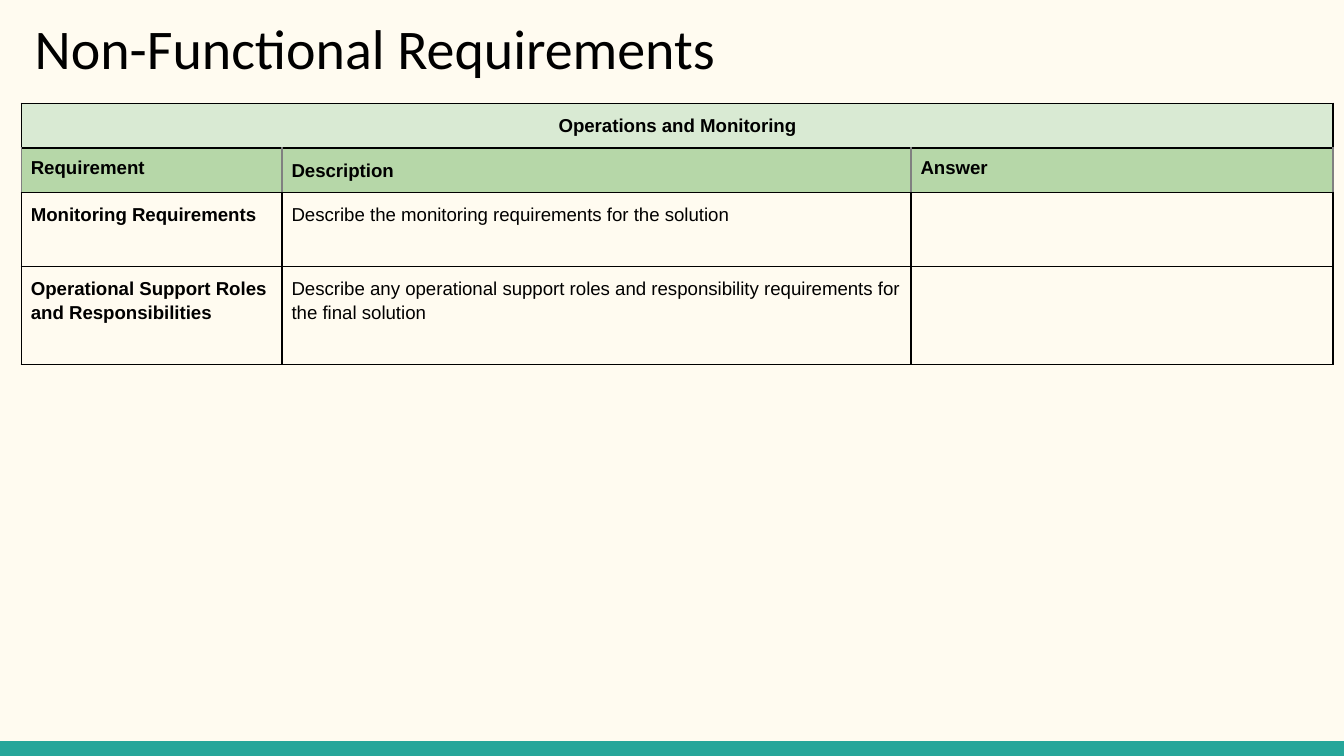
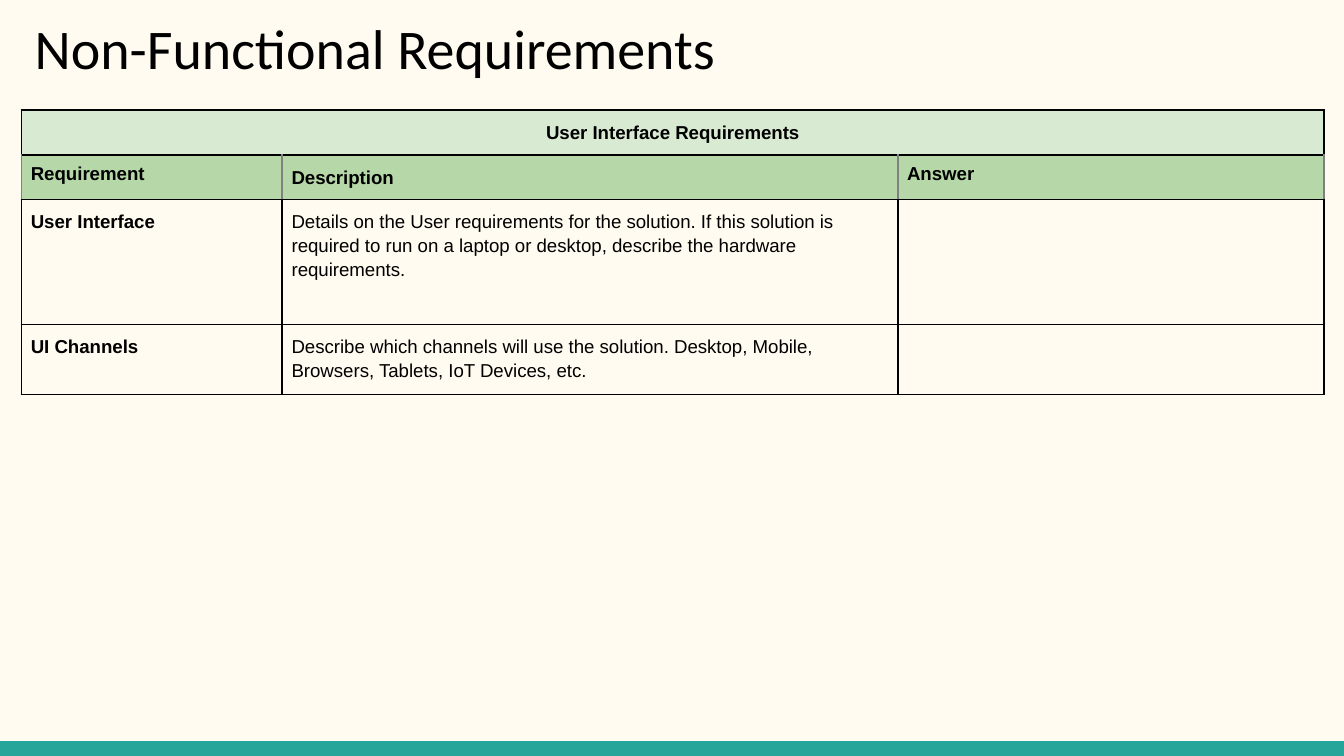
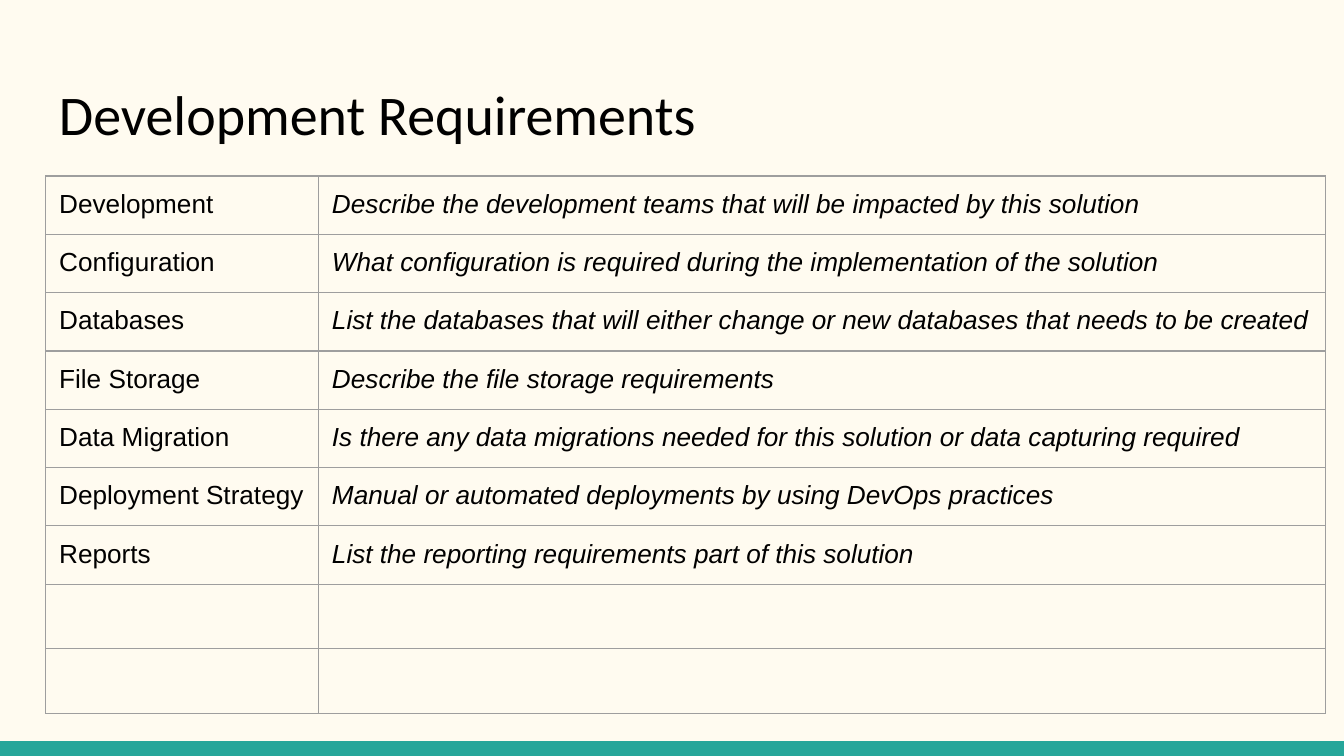
from dataclasses import dataclass

from lxml import etree
from pptx import Presentation
from pptx.dml.color import RGBColor
from pptx.enum.shapes import MSO_SHAPE
from pptx.enum.text import MSO_ANCHOR, PP_ALIGN
from pptx.oxml.ns import qn
from pptx.slide import Slide
from pptx.table import _Cell
from pptx.text.text import TextFrame
from pptx.util import Inches, Pt

RECTANGLE = MSO_SHAPE.RECTANGLE
TOP = MSO_ANCHOR.TOP
LEFT = PP_ALIGN.LEFT
CENTER = PP_ALIGN.CENTER

CREAM = RGBColor(0xFF, 0xFB, 0xF0)
TEAL = RGBColor(0x26, 0xA6, 0x9A)
BLACK = RGBColor(0x00, 0x00, 0x00)
GREY = RGBColor(0x80, 0x80, 0x80)
SILVER = RGBColor(0x9E, 0x9E, 0x9E)
PALE_GREEN = RGBColor(0xD9, 0xEA, 0xD3)
GREEN = RGBColor(0xB6, 0xD7, 0xA8)

SLIDE_WIDTH = Inches(10)
SLIDE_HEIGHT = Inches(5.625)
GRID_COLUMNS = 100
GRID_ROWS = 56.25
BAND_ROWS = 1.1
TITLE_COLUMNS = 93.2
TITLE_ROWS = 6.7
HEADINGS = ("Requirement", "Description", "Answer")


@dataclass(frozen=True)
class CellStyle:
    size: float = 10
    bold: bool = False
    italic: bool = False
    align: PP_ALIGN = LEFT
    line_spacing: float = 1.15
    margin: float = 0.07
    fill: RGBColor | None = None
    side_color: RGBColor = BLACK
    edge_color: RGBColor = BLACK
    border_width: float = 1


SECTION = CellStyle(bold=True, align=CENTER, fill=PALE_GREEN)
HEADING = CellStyle(bold=True, line_spacing=1, fill=GREEN, side_color=GREY)
SPACED_HEADING = CellStyle(bold=True, fill=GREEN, side_color=GREY)
REQUIREMENT = CellStyle(bold=True)
DESCRIPTION = CellStyle()
TOPIC = CellStyle(size=14, line_spacing=1, margin=0.1, side_color=SILVER,
                  edge_color=SILVER, border_width=0.75)
GUIDANCE = CellStyle(size=14, italic=True, line_spacing=1, margin=0.1,
                     side_color=SILVER, edge_color=SILVER, border_width=0.75)


@dataclass(frozen=True)
class TableRow:
    height: float
    texts: tuple[str, ...]
    styles: tuple[CellStyle, ...]
    spans_table: bool = False


@dataclass(frozen=True)
class RequirementsPage:
    title: str
    title_left: float
    title_top: float
    table_left: float
    table_top: float
    widths: tuple[float, ...]
    rows: tuple[TableRow, ...]


def columns(count: float) -> int:
    return round(SLIDE_WIDTH * count / GRID_COLUMNS)


def rows(count: float) -> int:
    return round(SLIDE_HEIGHT * count / GRID_ROWS)


def write(frame: TextFrame, text: str, *, size: float, font: str = "Arial",
          bold: bool = False, italic: bool = False, align: PP_ALIGN = LEFT,
          line_spacing: float = 1) -> None:
    frame.word_wrap = True
    paragraph = frame.paragraphs[0]
    paragraph.alignment = align
    paragraph.line_spacing = line_spacing
    target = paragraph
    if text:
        target = paragraph.add_run()
        target.text = text
    target.font.name = font
    target.font.size = Pt(size)
    target.font.bold = bold
    target.font.italic = italic
    target.font.color.rgb = BLACK


def draw_borders(cell: _Cell, style: CellStyle) -> None:
    properties = cell._tc.get_or_add_tcPr()
    sides = (("L", style.side_color), ("R", style.side_color),
             ("T", style.edge_color), ("B", style.edge_color))
    for side, color in sides:
        line = etree.SubElement(properties, qn(f"a:ln{side}"), w=str(Pt(style.border_width)))
        solid = etree.SubElement(line, qn("a:solidFill"))
        etree.SubElement(solid, qn("a:srgbClr"), val=str(color))


def fill_cell(cell: _Cell, text: str, style: CellStyle) -> None:
    draw_borders(cell, style)
    if style.fill is None:
        cell.fill.background()
    else:
        cell.fill.solid()
        cell.fill.fore_color.rgb = style.fill
    margin = Inches(style.margin)
    cell.margin_left = cell.margin_right = margin
    cell.margin_top = cell.margin_bottom = margin
    cell.vertical_anchor = TOP
    write(cell.text_frame, text, size=style.size, bold=style.bold, italic=style.italic,
          align=style.align, line_spacing=style.line_spacing)


def draw_band(slide: Slide) -> None:
    height = rows(BAND_ROWS)
    band = slide.shapes.add_shape(RECTANGLE, 0, SLIDE_HEIGHT - height, SLIDE_WIDTH, height)
    band.shadow.inherit = False
    band.fill.solid()
    band.fill.fore_color.rgb = TEAL
    band.line.fill.background()


def draw_title(slide: Slide, page: RequirementsPage) -> None:
    title = slide.shapes.add_textbox(columns(page.title_left), rows(page.title_top),
                                     columns(TITLE_COLUMNS), rows(TITLE_ROWS))
    frame = title.text_frame
    frame.margin_left = frame.margin_right = Inches(0.1)
    frame.margin_top = frame.margin_bottom = Inches(0.1)
    frame.vertical_anchor = TOP
    write(frame, page.title, size=30, font="Calibri")


def draw_table(slide: Slide, page: RequirementsPage) -> None:
    table = slide.shapes.add_table(
        len(page.rows), len(page.widths), columns(page.table_left), rows(page.table_top),
        columns(sum(page.widths)), rows(sum(row.height for row in page.rows))).table
    table.first_row = False
    table.horz_banding = False
    for column, width in zip(table.columns, page.widths):
        column.width = columns(width)
    for index, row in enumerate(page.rows):
        table.rows[index].height = rows(row.height)
        for position, (text, style) in enumerate(zip(row.texts, row.styles)):
            fill_cell(table.cell(index, position), text, style)
        if row.spans_table:
            table.cell(index, 0).merge(table.cell(index, len(page.widths) - 1))


def non_functional(section: str, table_top: float, widths: tuple[float, ...],
                   header_height: float,
                   requirements: tuple[tuple[float, str, str], ...]) -> RequirementsPage:
    header = (
        TableRow(header_height, (section, "", ""), (SECTION,) * 3, spans_table=True),
        TableRow(header_height, HEADINGS, (HEADING, SPACED_HEADING, HEADING)),
    )
    body = tuple(
        TableRow(height, (name, description, ""), (REQUIREMENT, DESCRIPTION, DESCRIPTION))
        for height, name, description in requirements)
    return RequirementsPage("Non-Functional Requirements", 1.6, 0, 1.6, table_top,
                            widths, header + body)


def development(topics: tuple[tuple[str, str], ...]) -> RequirementsPage:
    body = tuple(TableRow(4.2 if topic else 4.8, (topic, guidance), (TOPIC, GUIDANCE))
                 for topic, guidance in topics)
    return RequirementsPage("Development Requirements", 3.4, 4.9, 3.4, 13.1,
                            (20.3, 74.9), body)


PAGES = (
    non_functional("Operations and Monitoring", 7.7, (19.4, 46.8, 31.4), 3.2, (
        (5.5, "Monitoring Requirements",
         "Describe the monitoring requirements for the solution"),
        (7.3, "Operational Support Roles and Responsibilities",
         "Describe any operational support roles and responsibility requirements "
         "for the final solution"),
    )),
    non_functional("User Interface Requirements", 8.2, (19.4, 45.8, 31.7), 3.3, (
        (9.3, "User Interface",
         "Details on the User requirements for the solution. If this solution is required "
         "to run on a laptop or desktop, describe the hardware requirements."),
        (5.2, "UI Channels",
         "Describe which channels will use the solution. Desktop, Mobile, Browsers, "
         "Tablets, IoT Devices, etc."),
    )),
    development((
        ("Development", "Describe the development teams that will be impacted by this solution"),
        ("Configuration",
         "What configuration is required during the implementation of the solution"),
        ("Databases",
         "List the databases that will either change or new databases that needs to be created"),
        ("File Storage", "Describe the file storage requirements"),
        ("Data Migration",
         "Is there any data migrations needed for this solution or data capturing required"),
        ("Deployment Strategy", "Manual or automated deployments by using DevOps practices"),
        ("Reports", "List the reporting requirements part of this solution"),
        ("", ""),
        ("", ""),
    )),
)


def main() -> None:
    deck = Presentation()
    deck.slide_width = SLIDE_WIDTH
    deck.slide_height = SLIDE_HEIGHT
    backdrop = deck.slide_master.background.fill
    backdrop.solid()
    backdrop.fore_color.rgb = CREAM
    for page in PAGES:
        slide = deck.slides.add_slide(deck.slide_layouts[6])
        draw_band(slide)
        draw_title(slide, page)
        draw_table(slide, page)
    deck.save("out.pptx")


if __name__ == "__main__":
    main()
